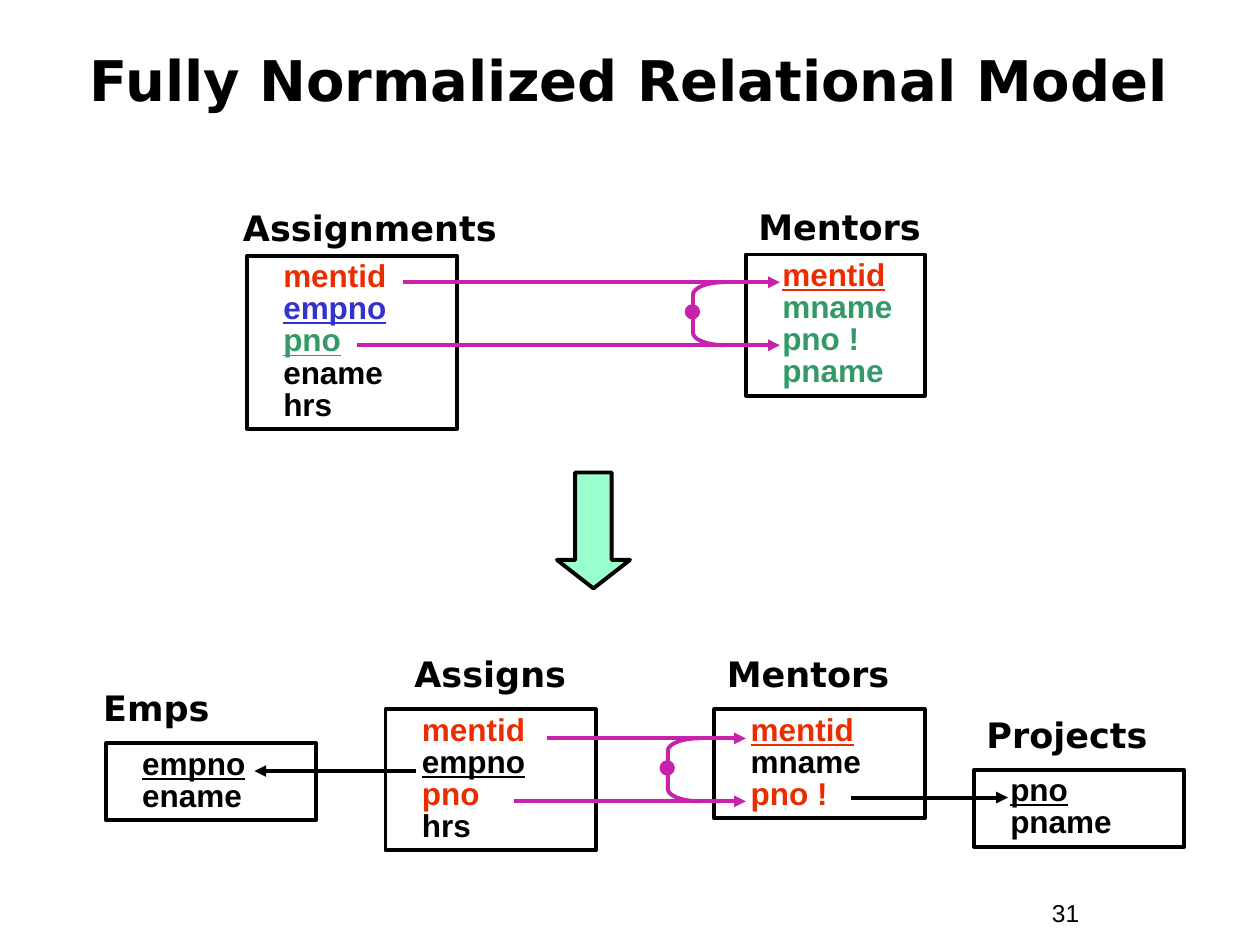
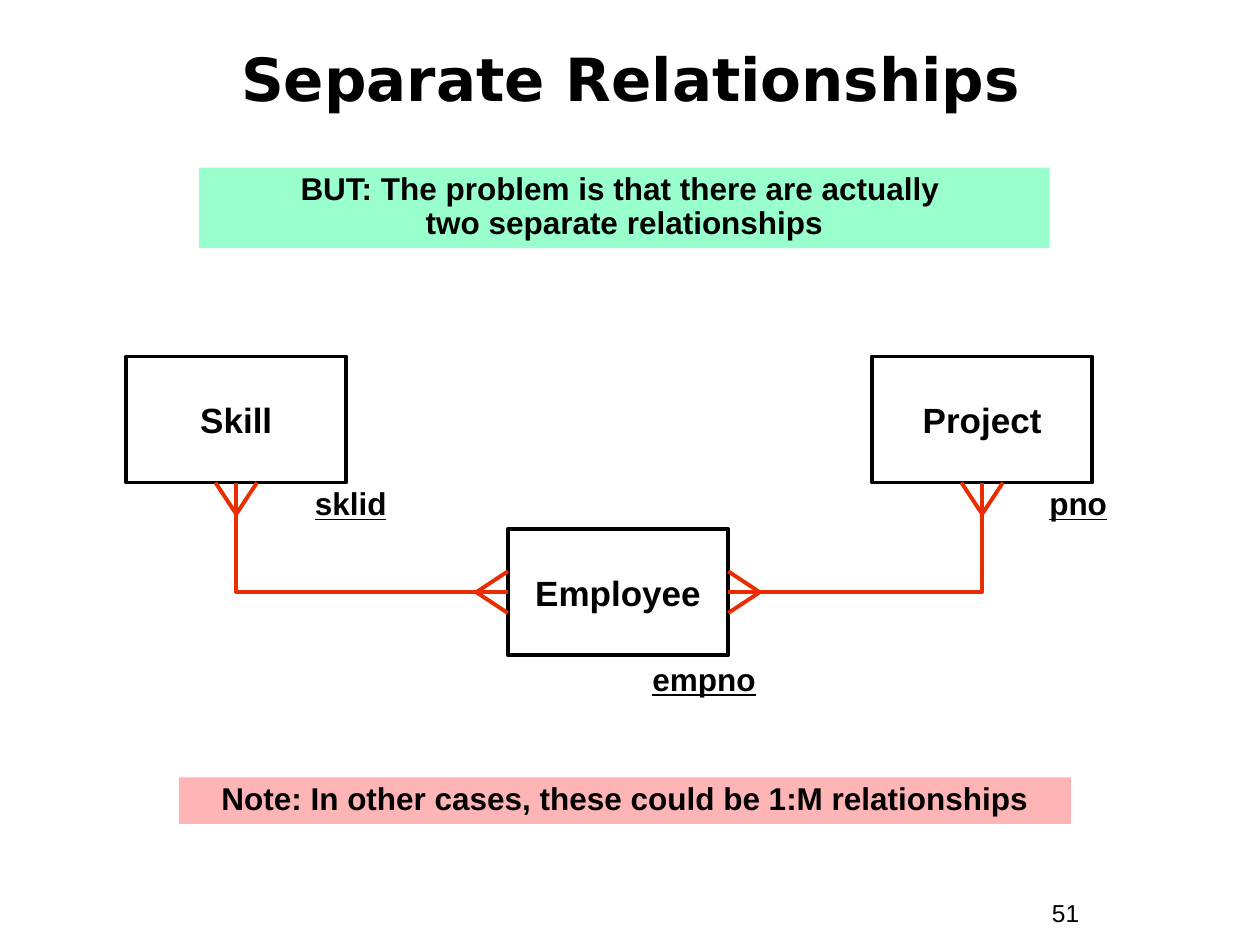
from dataclasses import dataclass
from math import cos, pi, sin
from typing import NamedTuple

from lxml import etree
from pptx import Presentation
from pptx.dml.color import RGBColor
from pptx.enum.shapes import MSO_CONNECTOR, MSO_SHAPE
from pptx.enum.text import MSO_ANCHOR, MSO_AUTO_SIZE, PP_ALIGN
from pptx.oxml.ns import qn
from pptx.util import Inches, Pt

STRAIGHT = MSO_CONNECTOR.STRAIGHT
RECTANGLE = MSO_SHAPE.RECTANGLE
OVAL = MSO_SHAPE.OVAL
DOWN_ARROW = MSO_SHAPE.DOWN_ARROW
LEFT, CENTER = PP_ALIGN.LEFT, PP_ALIGN.CENTER
TOP, MIDDLE = MSO_ANCHOR.TOP, MSO_ANCHOR.MIDDLE
NO_AUTOFIT = MSO_AUTO_SIZE.NONE
TITLE_ONLY = 5


@dataclass(frozen=True)
class Theme:
    black: str = "000000"
    red: str = "EA2D00"
    blue: str = "3333CC"
    green: str = "339966"
    magenta: str = "C822AC"
    mint: str = "99FFCC"
    pink: str = "FFB5B5"
    body_font: str = "Arial"
    heading_font: str = "DejaVu Sans"
    heading_size: float = 20
    body_size: float = 18
    number_size: float = 14
    line_width: float = 2.25


THEME = Theme()


class Point(NamedTuple):
    x: float
    y: float


class Area(NamedTuple):
    left: float
    top: float
    width: float
    height: float


class Field(NamedTuple):
    text: str
    color: str = THEME.black
    underline: bool = False


@dataclass(frozen=True)
class Relation:
    name: str
    name_at: Point
    left: float
    top: float
    width: float
    fields: tuple[Field, ...]


@dataclass(frozen=True)
class JoinedLinks:
    starts: tuple[Point, Point]
    end_x: float
    bracket_left: float


@dataclass(frozen=True)
class Entity:
    name: str
    left: float
    top: float
    key: str
    key_at: Point
    width: float = 1.75
    height: float = 1.0

    @property
    def center(self) -> Point:
        return Point(self.left + self.width / 2, self.top + self.height / 2)

    @property
    def right(self) -> float:
        return self.left + self.width

    @property
    def bottom(self) -> float:
        return self.top + self.height


RELATIONS = (
    Relation("Assignments", Point(1.83, 1.59), 1.96, 2.03, 1.67, (
        Field("mentid", THEME.red), Field("empno", THEME.blue, True),
        Field("pno", THEME.green, True), Field("ename"), Field("hrs"))),
    Relation("Mentors", Point(5.92, 1.58), 5.92, 2.02, 1.42, (
        Field("mentid", THEME.red, True), Field("mname", THEME.green),
        Field("pno !", THEME.green), Field("pname", THEME.green))),
    Relation("Emps", Point(0.72, 5.4), 0.84, 5.9, 1.67, (
        Field("empno", underline=True), Field("ename"))),
    Relation("Assigns", Point(3.19, 5.13), 3.06, 5.63, 1.67, (
        Field("mentid", THEME.red), Field("empno", underline=True),
        Field("pno", THEME.red), Field("hrs"))),
    Relation("Mentors", Point(5.67, 5.13), 5.67, 5.63, 1.67, (
        Field("mentid", THEME.red, True), Field("mname"),
        Field("pno !", THEME.red))),
    Relation("Projects", Point(7.73, 5.61), 7.73, 6.11, 1.67, (
        Field("pno", underline=True), Field("pname"))),
)
JOINED_LINKS = (
    JoinedLinks((Point(3.2, 2.24), Point(2.83, 2.74)), 6.19, 5.5),
    JoinedLinks((Point(4.34, 5.86), Point(4.08, 6.36)), 5.92, 5.3),
)
SINGLE_LINKS = (
    (Point(3.3, 6.12), Point(2.02, 6.12)),
    (Point(6.75, 6.33), Point(8, 6.33)),
)
SKILL = Entity("Skill", 1, 2.83, "sklid", Point(2.4, 3.83))
PROJECT = Entity("Project", 6.92, 2.83, "pno", Point(8.23, 3.83))
EMPLOYEE = Entity("Employee", 4.03, 4.2, "empno", Point(5.08, 5.22))
FOOT_LENGTH = 0.25
FOOT_SPREAD = 0.66


def write(frame, text: str | tuple[Field, ...], *, size: float = THEME.body_size,
          font: str = THEME.body_font, bold: bool = True, underline: bool = False,
          align=LEFT, anchor=TOP, spacing: float = 1.0, indent: float = 0,
          wrap: bool = True) -> None:
    frame.word_wrap = wrap
    frame.auto_size = NO_AUTOFIT
    frame.vertical_anchor = anchor
    frame.margin_left = frame.margin_right = Inches(0.1)
    frame.margin_top = frame.margin_bottom = Inches(0.05)
    lines = (Field(text, underline=underline),) if isinstance(text, str) else text
    for index, line in enumerate(lines):
        paragraph = frame.add_paragraph() if index else frame.paragraphs[0]
        paragraph.text = line.text
        paragraph.alignment = align
        paragraph.line_spacing = spacing
        if indent:
            properties = paragraph._p.get_or_add_pPr()
            properties.set("marL", str(Inches(indent)))
            properties.set("indent", "0")
        for run in paragraph.runs:
            run.font.name = font
            run.font.size = Pt(size)
            run.font.bold = bold
            run.font.underline = line.underline
            run.font.color.rgb = RGBColor.from_string(line.color)


def add_label(slide, area: Area, text: str, **style) -> None:
    box = slide.shapes.add_textbox(*map(Inches, area))
    write(box.text_frame, text, **style)


def format_line(line, color: str) -> None:
    line.color.rgb = RGBColor.from_string(color)
    line.width = Pt(THEME.line_width)


def format_shape(shape, fill: str | None, line: str | None) -> None:
    shape.shadow.inherit = False
    if fill:
        shape.fill.solid()
        shape.fill.fore_color.rgb = RGBColor.from_string(fill)
    else:
        shape.fill.background()
    if line:
        format_line(shape.line, line)
    else:
        shape.line.fill.background()


def add_block(slide, kind, area: Area, fill: str | None = None,
              line: str | None = THEME.black):
    shape = slide.shapes.add_shape(kind, *map(Inches, area))
    format_shape(shape, fill, line)
    return shape


def add_link(slide, start: Point, end: Point, color: str, arrow: bool = False) -> None:
    link = slide.shapes.add_connector(STRAIGHT, *map(Inches, (*start, *end)))
    format_line(link.line, color)
    if arrow:
        etree.SubElement(link.line._get_or_add_ln(), qn("a:tailEnd"), type="triangle")
    etree.SubElement(link._element.spPr, qn("a:effectLst"))


def add_path(slide, points: list[Point], color: str) -> None:
    corners = [(Inches(point.x), Inches(point.y)) for point in points]
    builder = slide.shapes.build_freeform(*corners[0])
    builder.add_line_segments(corners[1:], close=False)
    format_shape(builder.convert_to_shape(), None, color)


def add_slide(deck, title: str, area: Area, size: float, number: str):
    slide = deck.slides.add_slide(deck.slide_layouts[TITLE_ONLY])
    heading = slide.shapes.title
    heading.left, heading.top, heading.width, heading.height = map(Inches, area)
    write(heading.text_frame, title, size=size, font=THEME.heading_font,
          align=CENTER, anchor=MIDDLE, spacing=0.85)
    add_label(slide, Area(8.25, 7.08, 0.92, 0.34), number,
              size=THEME.number_size, bold=False)
    return slide


def draw_relation(slide, relation: Relation) -> None:
    add_label(slide, Area(*relation.name_at, 2.25, 0.44), relation.name,
              size=THEME.heading_size, font=THEME.heading_font)
    height = 0.1 + 0.255 * len(relation.fields)
    box = add_block(slide, RECTANGLE,
                    Area(relation.left, relation.top, relation.width, height))
    write(box.text_frame, relation.fields, spacing=0.85, indent=0.19)


def draw_joined_links(slide, links: JoinedLinks) -> None:
    for start in links.starts:
        add_link(slide, start, Point(links.end_x, start.y), THEME.magenta, arrow=True)
    top, bottom = (start.y for start in links.starts)
    reach, bend = 0.25, 0.1
    angles = [step * pi / 24 for step in range(13)]
    right = links.bracket_left + reach
    upper = [Point(right - reach * sin(a), top + bend - bend * cos(a)) for a in angles]
    lower = [Point(x, top + bottom - y) for x, y in reversed(upper)]
    add_path(slide, upper + lower, THEME.magenta)
    add_block(slide, OVAL, Area(links.bracket_left - 0.05, top + 0.19, 0.09, 0.09),
              THEME.magenta, THEME.magenta)


def draw_entity(slide, entity: Entity) -> None:
    box = add_block(slide, RECTANGLE,
                    Area(entity.left, entity.top, entity.width, entity.height))
    write(box.text_frame, entity.name, size=THEME.heading_size, align=CENTER,
          anchor=MIDDLE, wrap=False)
    add_label(slide, Area(*entity.key_at, 1.17, 0.37), entity.key,
              underline=True, spacing=0.9)


def draw_crows_foot(slide, base: Point, dx: float, dy: float) -> None:
    tip = Point(base.x - dx, base.y - dy)
    for side in (-FOOT_SPREAD, FOOT_SPREAD):
        add_link(slide, tip, Point(base.x + side * dy, base.y + side * dx), THEME.red)


def draw_relationship(slide, upper: Entity, employee_side: float, direction: int) -> None:
    end = Point(employee_side, EMPLOYEE.center.y)
    start = Point(upper.center.x, upper.bottom)
    add_path(slide, [start, Point(start.x, end.y), end], THEME.red)
    draw_crows_foot(slide, start, 0, -FOOT_LENGTH)
    draw_crows_foot(slide, end, direction * FOOT_LENGTH, 0)


def draw_banner(slide, area: Area, text: str, fill: str) -> None:
    banner = add_block(slide, RECTANGLE, area, fill, None)
    write(banner.text_frame, text, align=CENTER, spacing=0.9)


def build_normalized_model(deck) -> None:
    slide = add_slide(deck, "Fully Normalized Relational Model",
                      Area(0.33, 0.21, 9.33, 0.92), 32, "31")
    for relation in RELATIONS:
        draw_relation(slide, relation)
    for links in JOINED_LINKS:
        draw_joined_links(slide, links)
    for start, end in SINGLE_LINKS:
        add_link(slide, start, end, THEME.black, arrow=True)
    step = add_block(slide, DOWN_ARROW, Area(4.42, 3.75, 0.58, 0.92), THEME.mint)
    step.adjustments[0] = 0.5
    step.adjustments[1] = 0.39


def build_separate_relationships(deck) -> None:
    slide = add_slide(deck, "Separate Relationships",
                      Area(0.17, 0.33, 9.67, 0.67), 34, "51")
    draw_banner(slide, Area(1.58, 1.33, 6.75, 0.64),
                "BUT: The problem is that there are actually \vtwo separate relationships",
                THEME.mint)
    for entity in (SKILL, PROJECT, EMPLOYEE):
        draw_entity(slide, entity)
    draw_relationship(slide, SKILL, EMPLOYEE.left, 1)
    draw_relationship(slide, PROJECT, EMPLOYEE.right, -1)
    draw_banner(slide, Area(1.42, 6.17, 7.08, 0.37),
                "Note: In other cases, these could be 1:M relationships", THEME.pink)


def main() -> None:
    deck = Presentation()
    deck.slide_width, deck.slide_height = Inches(10), Inches(7.5)
    build_normalized_model(deck)
    build_separate_relationships(deck)
    deck.save("out.pptx")


if __name__ == "__main__":
    main()
